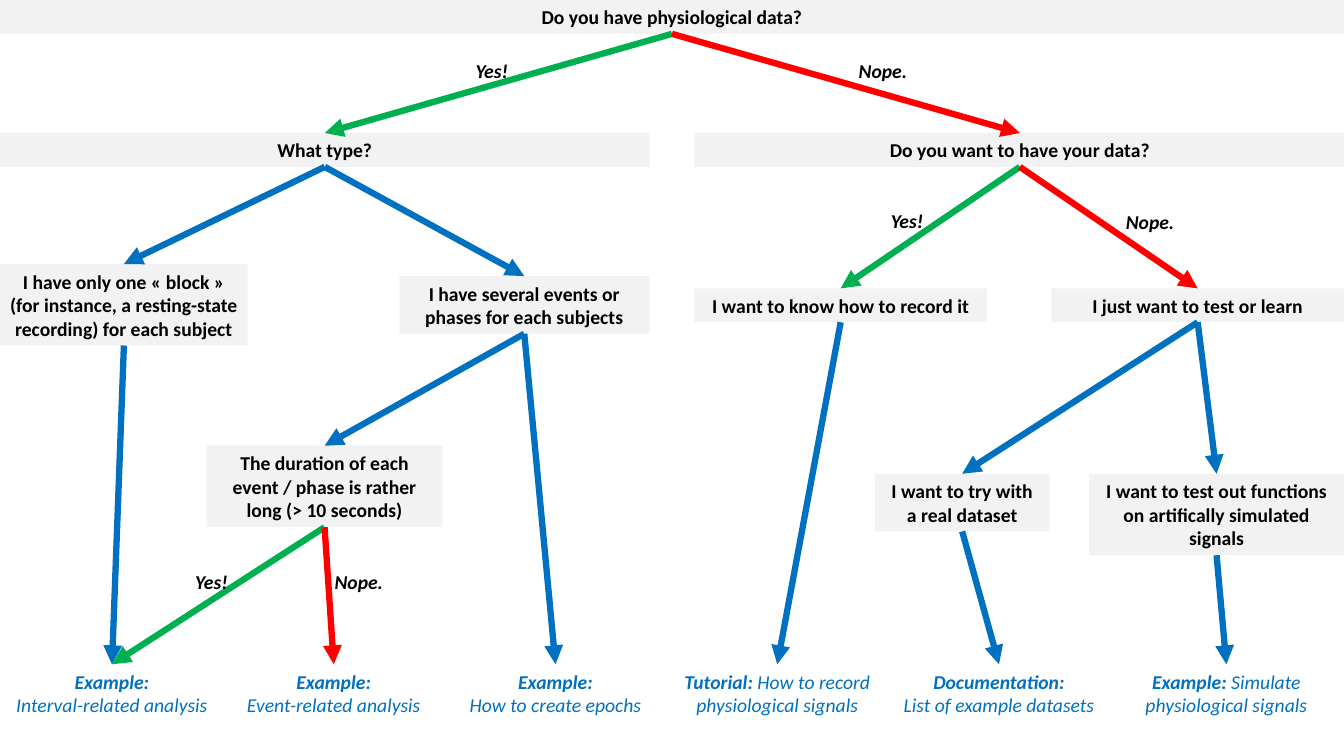
from pptx import Presentation
from pptx.dml.color import RGBColor
from pptx.enum.shapes import MSO_CONNECTOR, MSO_SHAPE
from pptx.enum.text import MSO_ANCHOR, MSO_AUTO_SIZE, PP_ALIGN
from pptx.oxml.ns import qn
from pptx.util import Pt
from lxml import etree

COLORS = {"box": "F2F2F2", "text": "000000", "blue": "0070C0",
          "green": "00B050", "red": "FF0000"}
LINE_H, PADDING = 17, 7.2
TOP, BOTTOM = 0, 2  # connection sites of a rectangle


def rgb(name):
    return RGBColor.from_string(COLORS[name])


def style_text(sp, color, italic, bold=True):
    tf = sp.text_frame
    tf.word_wrap = True
    tf.auto_size = MSO_AUTO_SIZE.NONE
    tf.vertical_anchor = MSO_ANCHOR.MIDDLE
    tf.margin_left = tf.margin_right = Pt(7.2)
    tf.margin_top = tf.margin_bottom = Pt(3.6)
    for p in tf.paragraphs:
        p.alignment = PP_ALIGN.CENTER
        p.line_spacing = 1.0
        p.space_before = Pt(0)
        for r in p.runs:
            r.font.name = "Calibri"
            r.font.size = Pt(14)
            r.font.bold = bold
            r.font.italic = italic
            r.font.color.rgb = rgb(color)


prs = Presentation()
prs.slide_width, prs.slide_height = Pt(960), Pt(540)
s = prs.slides.add_slide(prs.slide_layouts[5])
nodes = {}

# Questions: key, left, top, width, lines, text
questions = [
    ("data", 0, 0, 960, 1, "Do you have physiological data?"),
    ("type", 0, 95, 464, 1, "What type?"),
    ("want", 496, 95, 465, 1, "Do you want to have your data?"),
    ("block", 0, 188.6, 177, 3,
     "I have only one «\u00a0block\u00a0» (for instance, a resting-state recording) for each subject"),
    ("events", 285.2, 197.2, 178.6, 2, "I have several events or phases for each subjects"),
    ("record", 496, 206, 209, 1, "I want to know how to record it"),
    ("learn", 751, 206, 209, 1, "I just want to test or learn"),
    ("long", 147.6, 318.4, 168.5, 3,
     "The duration of each event / phase is rather long (> 10 seconds)"),
    ("real", 625, 338.4, 124.6, 2, "I want to try with a real dataset"),
    ("simulated", 778, 338.4, 182, 3,
     "I want to test out functions on artifically simulated signals"),
]
for key, left, top, width, lines, text in questions:
    height = PADDING + LINE_H * lines
    if key == "data":
        sp = s.shapes.title
        sp.left, sp.top, sp.width, sp.height = Pt(left), Pt(top), Pt(width), Pt(height)
    else:
        sp = s.shapes.add_shape(MSO_SHAPE.RECTANGLE, Pt(left), Pt(top), Pt(width), Pt(height))
        sp.shadow.inherit = False
    sp.fill.solid()
    sp.fill.fore_color.rgb = rgb("box")
    sp.line.fill.background()
    sp.text_frame.text = text
    style_text(sp, "text", italic=False)
    nodes[key] = sp

# Destinations along the bottom: key, width, bold lead, rest
destinations = [
    ("interval", 160, "Example:", "\nInterval-related analysis"),
    ("event", 160, "Example:", "\nEvent-related analysis"),
    ("epochs", 160, "Example:", "\nHow to create epochs"),
    ("tutorial", 160, "Tutorial:", " How to record physiological signals"),
    ("datasets", 160, "Documentation:", "\nList of example datasets"),
    ("simulate", 168, "Example:", " Simulate physiological signals"),
]
for i, (key, width, lead, rest) in enumerate(destinations):
    sp = s.shapes.add_textbox(Pt(158.4 * i), Pt(474.5), Pt(width), Pt(PADDING + LINE_H * 2))
    tf = sp.text_frame
    tf.text = lead
    p = tf.add_paragraph() if rest.startswith("\n") else tf.paragraphs[0]
    p.add_run().text = rest.lstrip("\n")
    style_text(sp, "blue", italic=True, bold=False)
    tf.paragraphs[0].runs[0].font.bold = True
    nodes[key] = sp

# Arrows from the bottom of one node to the top of the next
arrows = [
    ("data", "type", "green"), ("data", "want", "red"),
    ("type", "block", "blue"), ("type", "events", "blue"),
    ("want", "record", "green"), ("want", "learn", "red"),
    ("block", "interval", "blue"), ("events", "epochs", "blue"),
    ("events", "long", "blue"), ("long", "interval", "green"),
    ("long", "event", "red"), ("record", "tutorial", "blue"),
    ("learn", "real", "blue"), ("learn", "simulated", "blue"),
    ("real", "datasets", "blue"), ("simulated", "simulate", "blue"),
]
for start, end, color in arrows:
    line = s.shapes.add_connector(MSO_CONNECTOR.STRAIGHT, 0, 0, 0, 0)
    line.begin_connect(nodes[start], BOTTOM)
    line.end_connect(nodes[end], TOP)
    line.line.color.rgb = rgb(color)
    line.line.width = Pt(4.5)
    etree.SubElement(line.line._get_or_add_ln(), qn("a:tailEnd"), type="triangle")
    etree.SubElement(line._element.spPr, qn("a:effectLst"))

# Answers beside the arrows
answers = [("Yes!", 316.8, 38.2), ("Nope.", 596.2, 38.2),
           ("Yes!", 613.4, 145.6), ("Nope.", 787, 146),
           ("Yes!", 116.6, 403.2), ("Nope.", 221.8, 403.2)]
for text, left, top in answers:
    sp = s.shapes.add_textbox(Pt(left), Pt(top), Pt(69), Pt(PADDING + LINE_H))
    sp.text_frame.text = text
    style_text(sp, "text", italic=True)

prs.save("out.pptx")
